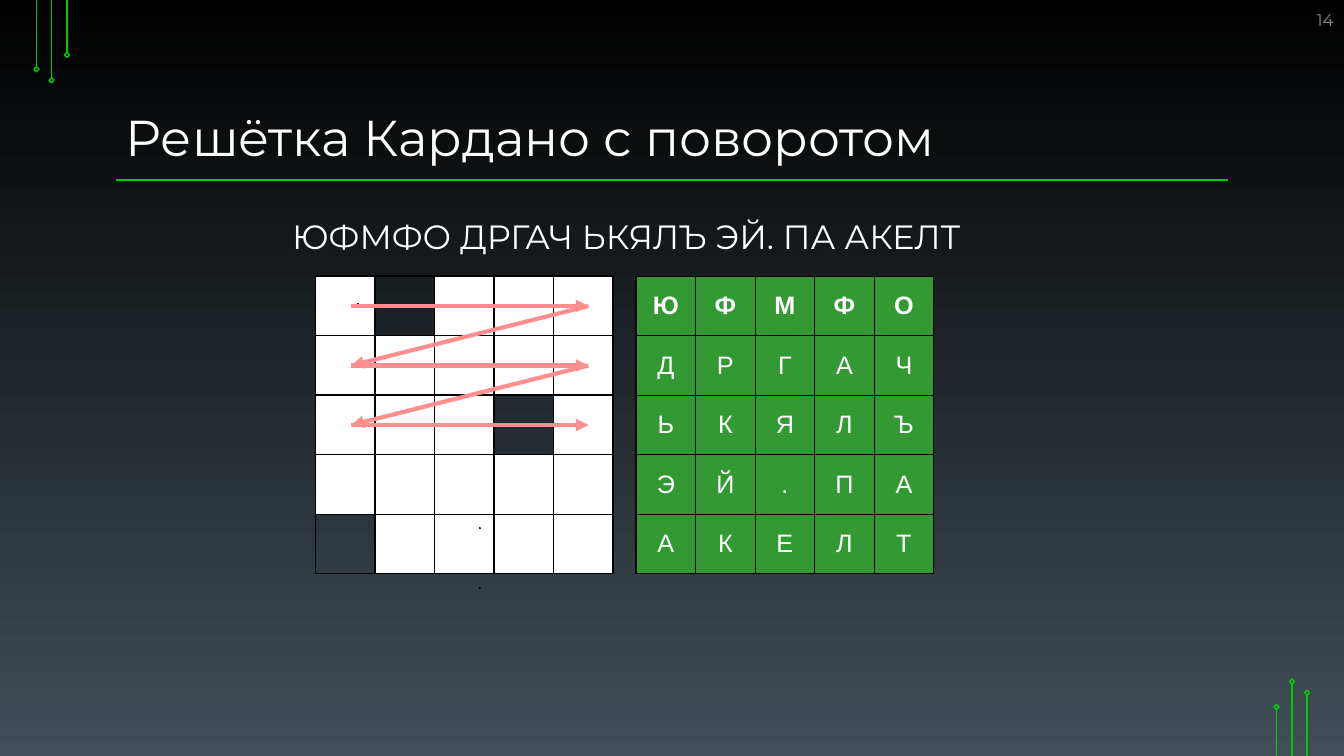
from dataclasses import dataclass
from itertools import pairwise

from lxml import etree
from pptx import Presentation
from pptx import util as u
from pptx.dml.color import RGBColor
from pptx.enum import shapes, text
from pptx.oxml.ns import qn


@dataclass(frozen=True)
class Theme:
    black: str = "000000"
    slate: str = "414E57"
    white: str = "FFFFFF"
    grey: str = "888888"
    neon: str = "00CC00"
    green: str = "339933"
    pink: str = "FF8F8F"
    font: str = "Montserrat"
    grid_font: str = "Arial"
    title: int = 36
    cipher: int = 24
    letter: int = 18
    number: int = 12
    thin: int = 1
    thick: int = 3


T = Theme()
WIDTH, HEIGHT = 33.87, 19.05
CELL = 1.5
LETTERS = ["ЮФМФО", "ДРГАЧ", "ЬКЯЛЪ", "ЭЙ.ПА", "АКЕЛТ"]
HOLES = {(0, 1), (2, 3), (4, 0)}
PINS = [(0, 0.36), (0.38, 0.64), (0.77, 0)]
SPECKS = [(1.06, 0.69), (4.14, 6.35), (4.14, 7.85)]


def rgb(color):
    return RGBColor.from_string(color)


def write(tf, words, align=text.PP_ALIGN.LEFT, **font):
    p = tf.paragraphs[0]
    p.alignment = align
    r = p.add_run()
    r.text = words
    r.font.color.rgb = rgb(font.pop("color", T.white))
    for name, value in font.items():
        setattr(r.font, name, value)
    return p


def label(s, box, words, anchor, **format_values):
    tf = s.shapes.add_textbox(*map(u.Cm, box)).text_frame
    tf.word_wrap = True
    tf.vertical_anchor = anchor
    return write(tf, words, name=T.font, **format_values)


def line(s, start, end, color=T.neon, width=T.thin, arrow=False):
    sp = s.shapes.add_connector(shapes.MSO_CONNECTOR.STRAIGHT,
                                *map(u.Cm, (*start, *end)))
    sp.line.color.rgb = rgb(color)
    sp.line.width = u.Pt(width)
    etree.SubElement(sp._element.spPr, qn("a:effectLst"))
    if arrow:
        etree.SubElement(sp.line._get_or_add_ln(), qn("a:tailEnd"), type="triangle")


def shape(s, kind, box, outline, fill=None):
    sp = s.shapes.add_shape(kind, *map(u.Cm, box))
    sp.shadow.inherit = False
    sp.line.color.rgb = rgb(outline)
    sp.line.width = u.Pt(T.thin)
    if fill:
        sp.fill.solid()
        sp.fill.fore_color.rgb = rgb(fill)
    else:
        sp.fill.background()


def background(s):
    fill = s.background.fill
    fill.gradient()
    fill.gradient_angle = 270
    for stop, position, color in zip(fill.gradient_stops, (0, 1), (T.black, T.slate)):
        stop.position = position
        stop.color.rgb = rgb(color)


def circuit(s, left, edge, base, way):
    """Three pins growing from a slide edge: way is 1 downwards, -1 upwards."""
    size = 0.13
    for offset, extra in PINS:
        x = left + way * offset
        tip = edge + way * (base + extra)
        line(s, (x, edge), (x, tip))
        shape(s, shapes.MSO_SHAPE.DIAMOND,
              (x - size / 2, min(tip, tip + way * size), size, size), T.neon)


def heading(s, left, top, width, height):
    p = label(s, (left, top, width, height), "Решётка Кардано с поворотом",
              text.MSO_ANCHOR.BOTTOM, size=u.Pt(T.title))
    p.line_spacing = 0.9
    rule = top + height + 0.2
    line(s, (left, rule), (left + width, rule))


def border(cell):
    tcPr = cell._tc.get_or_add_tcPr()
    for side in ("lnL", "lnR", "lnT", "lnB"):
        ln = etree.SubElement(tcPr, qn(f"a:{side}"), w=str(u.Pt(T.thin)))
        fill = etree.SubElement(ln, qn("a:solidFill"))
        etree.SubElement(fill, qn("a:srgbClr"), val=T.black)


def letter_table(s, left, top):
    n = len(LETTERS)
    table = s.shapes.add_table(
        n, n, *map(u.Cm, (left, top, n * CELL, n * CELL))).table
    table.first_row = table.horz_banding = False
    for i, row in enumerate(LETTERS):
        table.rows[i].height = table.columns[i].width = u.Cm(CELL)
        for j, letter in enumerate(row):
            cell = table.cell(i, j)
            border(cell)
            cell.fill.solid()
            cell.fill.fore_color.rgb = rgb(T.green)
            cell.vertical_anchor = text.MSO_ANCHOR.MIDDLE
            write(cell.text_frame, letter, text.PP_ALIGN.CENTER, name=T.grid_font,
                  size=u.Pt(T.letter), bold=i == 0)


def grille(s, left, top):
    n = len(LETTERS)
    for i in range(n):
        for j in range(n):
            shape(s, shapes.MSO_SHAPE.RECTANGLE,
                  (left + j * CELL, top + i * CELL, CELL, CELL), T.black,
                  None if (i, j) in HOLES else T.white)
    for x, y in SPECKS:
        shape(s, shapes.MSO_SHAPE.RECTANGLE, (left + x, top + y, 0.01, 0.01),
              T.black, T.white)


def reading_path(s, left, top, rows=3):
    """Arrows that zigzag along the first rows of the grille."""
    points = [(left + x, top + (i + 0.5) * CELL)
              for i in range(rows) for x in (0.9, 6.88)]
    for start, end in pairwise(points):
        line(s, start, end, T.pink, T.thick, arrow=True)


def cardan_slide(prs):
    s = prs.slides.add_slide(prs.slide_layouts[6])
    background(s)
    circuit(s, 0.92, 0, 1.32, 1)
    circuit(s, 32.94, HEIGHT, 1.17, -1)
    label(s, (26.24, 0, 7.62, 1.02), "14", text.MSO_ANCHOR.MIDDLE,
          align=text.PP_ALIGN.RIGHT, size=u.Pt(T.number), color=T.grey)
    heading(s, 2.92, 1.14, 28.02, 3.2)
    letter_table(s, 16.03, 6.96)
    grille(s, 7.95, 6.96)
    label(s, (7.11, 5.31, 17.86, 1.27), "ЮФМФО ДРГАЧ ЬКЯЛЪ ЭЙ. ПА АКЕЛТ",
          text.MSO_ANCHOR.BOTTOM, size=u.Pt(T.cipher))
    reading_path(s, 7.95, 6.96)


def main():
    prs = Presentation()
    prs.slide_width, prs.slide_height = u.Cm(WIDTH), u.Cm(HEIGHT)
    cardan_slide(prs)
    prs.save("out.pptx")


if __name__ == "__main__":
    main()
